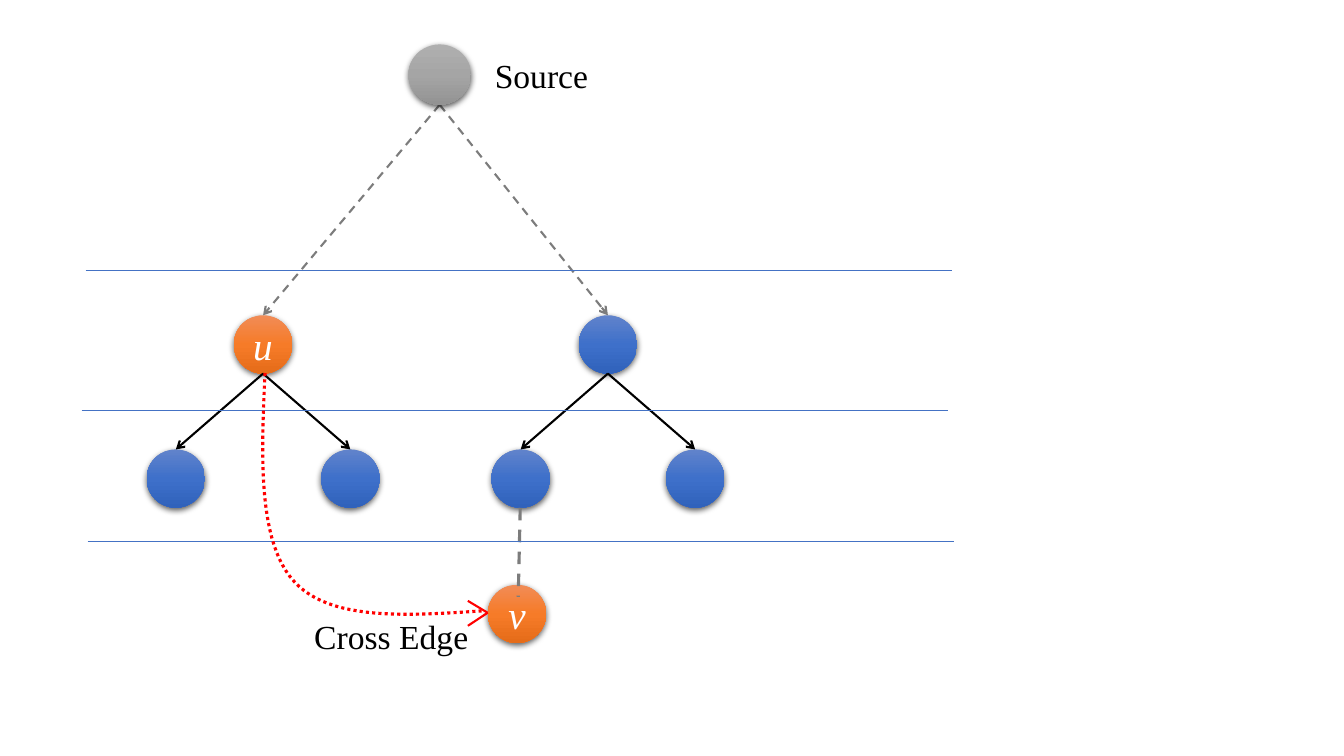
from lxml import etree
from pptx import Presentation
from pptx import util as u
from pptx.dml.color import RGBColor
from pptx.enum import dml, shapes, text
from pptx.oxml import ns

BLACK = RGBColor(0x00, 0x00, 0x00)
WHITE = RGBColor(0xFF, 0xFF, 0xFF)
RED = RGBColor(0xFF, 0x00, 0x00)
GRAY = RGBColor(0x7C, 0x7C, 0x7C)
LEVEL_BLUE = RGBColor(0x44, 0x72, 0xC4)
BLUE_SHADES = [RGBColor(0x61, 0x83, 0xCB), RGBColor(0x3E, 0x70, 0xCA), RGBColor(0x30, 0x62, 0xBB)]
ORANGE_SHADES = [RGBColor(0xF1, 0x8C, 0x57), RGBColor(0xF6, 0x7B, 0x28), RGBColor(0xE5, 0x6C, 0x19)]
GRAY_SHADES = [RGBColor(0xAF, 0xAF, 0xAF), RGBColor(0xA5, 0xA5, 0xA5), RGBColor(0x93, 0x93, 0x93)]

NODE = 1.47
SOURCE_X, SOURCE_Y, SOURCE_W, SOURCE_H = 11.08, 1.88, 1.57, 1.52
PARENT_Y, CHILD_Y = 8.68, 12.06
PARENTS = [(6.63, ORANGE_SHADES, "u"), (15.32, BLUE_SHADES, "")]
CHILD_OFFSETS = (-2.2, 2.2)
V_X, V_Y = 13.03, 15.47
LEVELS = [(2.06, 10.34), (2.16, 6.81), (2.21, 13.64)]
LEVEL_WIDTH = 21.83
CROSS_START = (6.68, 9.4)
CROSS_CURVES = [
    [(6.58, 11.53), (6.5, 13.67), (7.42, 14.66)],
    [(8.33, 15.65), (10.26, 15.52), (12.19, 15.39)],
]
CROSS_TIP = (12.29, 15.44)
CROSS_BARBS = [(11.79, 15.14), (11.79, 15.77)]


def bezier(points, steps=24):
    """Return points along a cubic curve, without its start."""
    curve = []
    for step in range(1, steps + 1):
        t = step / steps
        weights = ((1 - t) ** 3, 3 * t * (1 - t) ** 2, 3 * t ** 2 * (1 - t), t ** 3)
        curve.append(tuple(sum(w * p[axis] for w, p in zip(weights, points)) for axis in (0, 1)))
    return curve


class TreePage:
    """Draws the elements of a tree diagram on one page."""

    font = {"name": "Times New Roman"}

    def __init__(self, page):
        self.page = page

    def add_xml(self, parent, tag, **values):
        return etree.SubElement(parent, ns.qn(tag), values)

    def add_words(self, box, words, color, **style):
        para = box.text_frame.paragraphs[0]
        span = para.add_run()
        span.text = words
        for name, value in {**self.font, **style}.items():
            setattr(span.font, name, value)
        span.font.color.rgb = color
        return para

    def label(self, words, left, top, width):
        box = self.page.shapes.add_textbox(u.Cm(left), u.Cm(top), u.Cm(width), u.Cm(1.27))
        box.text_frame.word_wrap = True
        self.add_words(box, words, BLACK, size=u.Pt(24))

    def node(self, x, y, shades, words="", width=NODE, height=NODE):
        box = self.page.shapes.add_shape(
            shapes.MSO_SHAPE.OVAL, u.Cm(x - width / 2), u.Cm(y - height / 2), u.Cm(width), u.Cm(height))
        box.line.fill.background()
        box.fill.gradient()
        box.fill.gradient_angle = 270
        stops = box._element.spPr.find(".//" + ns.qn("a:gsLst"))
        for stop in list(stops):
            stops.remove(stop)
        for position, shade in zip((0, 50000, 100000), shades):
            stop = self.add_xml(stops, "a:gs", pos=str(position))
            self.add_xml(stop, "a:srgbClr", val=str(shade))
        box.shadow.inherit = False
        effects = box._element.spPr.find(ns.qn("a:effectLst"))
        shadow = self.add_xml(effects, "a:outerShdw", blurRad="57150", dist="19050",
                              dir="5400000", algn="ctr", rotWithShape="0")
        color = self.add_xml(shadow, "a:srgbClr", val=str(BLACK))
        self.add_xml(color, "a:alpha", val="63000")
        if words:
            box.text_frame.vertical_anchor = text.MSO_ANCHOR.MIDDLE
            para = self.add_words(box, words, WHITE, size=u.Pt(28), italic=True)
            para.alignment = text.PP_ALIGN.CENTER

    def stroke(self, line, color, width, dash):
        line.color.rgb = color
        for name, value in {"width": u.Pt(width), "dash_style": dash}.items():
            setattr(line, name, value)

    def edge(self, start, end, color, width, dash=None, arrow=False):
        line = self.page.shapes.add_connector(
            shapes.MSO_CONNECTOR.STRAIGHT, *(u.Cm(value) for value in (*start, *end)))
        self.stroke(line.line, color, width, dash)
        properties = line._element.spPr
        if arrow:
            self.add_xml(properties.find(ns.qn("a:ln")), "a:tailEnd", type="arrow")
        self.add_xml(properties, "a:effectLst")

    def curve(self, start, pieces, color, width, dash):
        points = [start]
        for piece in pieces:
            points += bezier([points[-1], *piece])
        spots = [(u.Cm(x), u.Cm(y)) for x, y in points]
        builder = self.page.shapes.build_freeform(*spots[0])
        builder.add_line_segments(spots[1:], close=False)
        outline = builder.convert_to_shape()
        outline.fill.background()
        outline.shadow.inherit = False
        self.stroke(outline.line, color, width, dash)


def main():
    deck = Presentation()
    deck.slide_width, deck.slide_height = u.Cm(33.87), u.Cm(19.05)
    tree = TreePage(deck.slides.add_slide(deck.slide_layouts[6]))
    dashed = dml.MSO_LINE.DASH
    half = NODE / 2

    tree.node(V_X, V_Y, ORANGE_SHADES, "v")
    for x, shades, name in PARENTS:
        tree.node(x, PARENT_Y, shades, name)
        for offset in CHILD_OFFSETS:
            tree.node(x + offset, CHILD_Y, BLUE_SHADES)
            tree.edge((x, PARENT_Y + half), (x + offset, CHILD_Y - half), BLACK, 1.5, arrow=True)
        tree.edge((SOURCE_X, SOURCE_Y + SOURCE_H / 2), (x, PARENT_Y - half), GRAY, 1.5, dashed, True)
    tree.edge((13.11, CHILD_Y + half), (13.06, 15.04), GRAY, 2.25, dashed)

    for left, y in LEVELS:
        tree.edge((left, y), (left + LEVEL_WIDTH, y), LEVEL_BLUE, 0.5)

    tree.node(SOURCE_X, SOURCE_Y, GRAY_SHADES, width=SOURCE_W, height=SOURCE_H)
    tree.label("Source", 12.22, 1.27, 3.28)
    tree.curve(CROSS_START, CROSS_CURVES, RED, 2.25, dml.MSO_LINE.ROUND_DOT)
    tree.label("Cross Edge", 7.67, 15.39, 6.22)
    for barb in CROSS_BARBS:
        tree.edge(barb, CROSS_TIP, RED, 1.5)
    deck.save("out.pptx")


if __name__ == "__main__":
    main()
